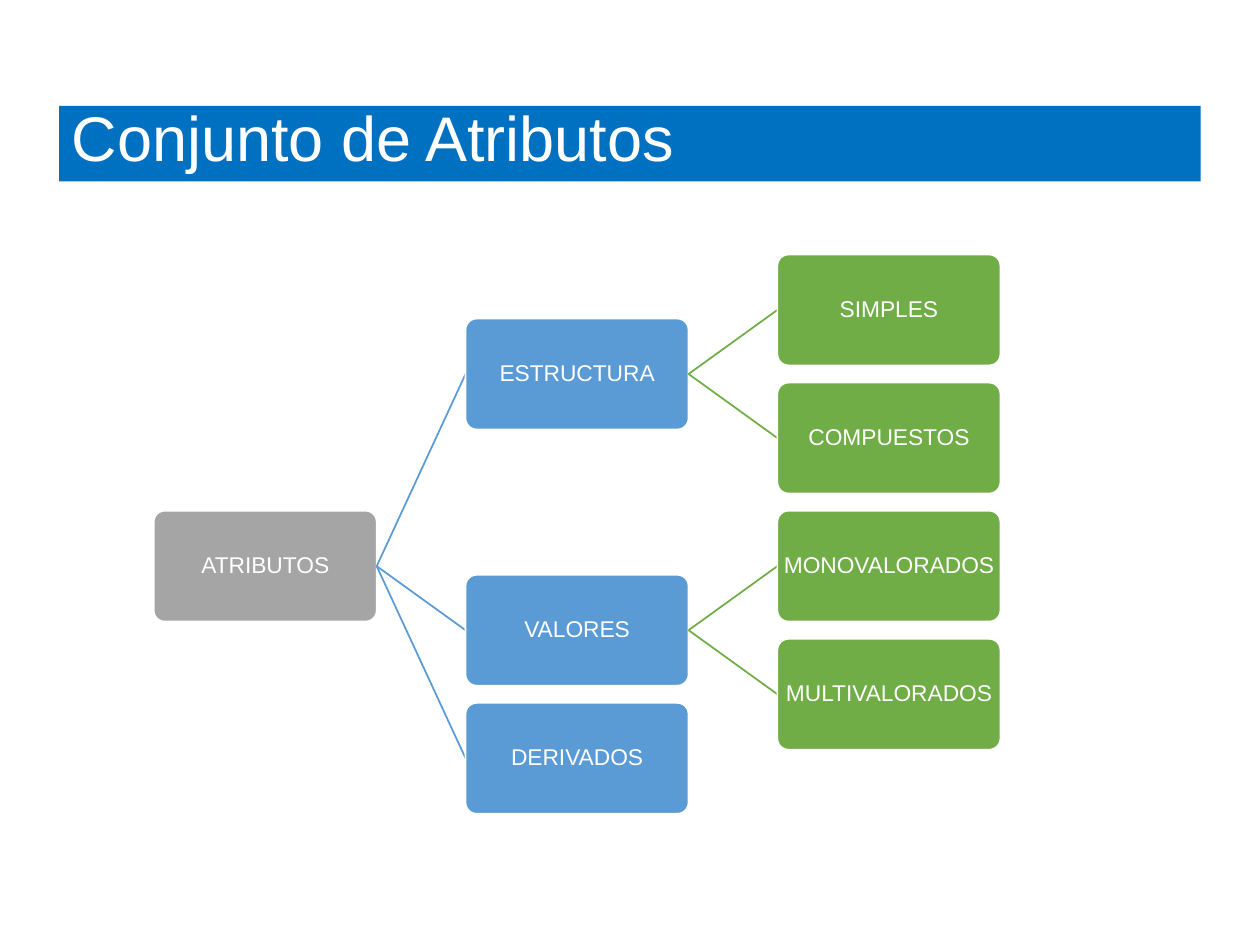
from dataclasses import dataclass

from lxml import etree
from pptx import Presentation
from pptx.dml.color import RGBColor
from pptx.enum import shapes, text
from pptx.oxml.ns import qn
from pptx.util import Inches, Pt

TITLE = "Conjunto de Atributos"
TREE = ("ATRIBUTOS", [
    ("ESTRUCTURA", [("SIMPLES", 0), ("COMPUESTOS", 1)]),
    ("VALORES", [("MONOVALORADOS", 2), ("MULTIVALORADOS", 3)]),
    ("DERIVADOS", 3.5),
])


@dataclass(frozen=True)
class Theme:
    font: str = "Arial"
    title_size: int = 36
    node_size: int = 13
    white: str = "FFFFFF"
    banner: str = "0070C0"
    levels: tuple = ("A5A5A5", "5B9BD5", "70AD47")


THEME = Theme()
LEFT, TOP = 1.22, 2.02
WIDTH, HEIGHT = 1.77, 0.88
COLUMN_STEP = 4.95 / 2
ROW_STEP = 3.05 / 3


def color(value):
    return RGBColor.from_string(value)


def add_box(page, kind, bounds, fill, words, size):
    box = page.shapes.add_shape(kind, *map(Inches, bounds))
    box.shadow.inherit = False
    box.fill.solid()
    box.fill.fore_color.rgb = color(fill)
    box.line.fill.background()
    para = box.text_frame.paragraphs[0]
    para.line_spacing = 0.9
    span = para.add_run()
    span.text = words
    span.font.name = THEME.font
    span.font.size = Pt(size)
    span.font.color.rgb = color(THEME.white)
    return box


def add_title(page):
    box = add_box(page, shapes.MSO_SHAPE.RECTANGLE, (0.47, 0.84, 9.06, 0.6),
                  THEME.banner, TITLE, THEME.title_size)
    box.text_frame.vertical_anchor = text.MSO_ANCHOR.BOTTOM
    box.text_frame.paragraphs[0].alignment = text.PP_ALIGN.LEFT


def add_node(page, words, level, row):
    bounds = (LEFT + level * COLUMN_STEP, TOP + row * ROW_STEP, WIDTH, HEIGHT)
    box = add_box(page, shapes.MSO_SHAPE.ROUNDED_RECTANGLE, bounds,
                  THEME.levels[level], words, THEME.node_size)
    box.adjustments[0] = 0.1
    box.line.color.rgb = color(THEME.white)
    box.line.width = Pt(1)
    frame = box.text_frame
    frame.word_wrap = True
    frame.vertical_anchor = text.MSO_ANCHOR.MIDDLE
    frame.margin_left = frame.margin_right = 0
    frame.margin_top = frame.margin_bottom = 0
    frame.paragraphs[0].alignment = text.PP_ALIGN.CENTER
    return box


def add_branch(page, parent, level):
    branch = page.shapes.add_connector(shapes.MSO_CONNECTOR.STRAIGHT, 0, 0, 0, 0)
    branch.line.color.rgb = color(THEME.levels[level])
    branch.line.width = Pt(1)
    etree.SubElement(branch.element.spPr, qn("a:effectLst"))
    branch.begin_connect(parent, 3)
    return branch


def row_of(place):
    if isinstance(place, list):
        return (row_of(place[0][1]) + row_of(place[-1][1])) / 2
    return place


def draw_tree(page, node, level=0, parent=None):
    words, place = node
    branch = add_branch(page, parent, level) if parent is not None else None
    box = add_node(page, words, level, row_of(place))
    if branch is not None:
        branch.end_connect(box, 1)
    if isinstance(place, list):
        for child in place:
            draw_tree(page, child, level + 1, box)


def main():
    deck = Presentation()
    deck.slide_width, deck.slide_height = Inches(10), Inches(7.5)
    page = deck.slides.add_slide(deck.slide_layouts[6])
    add_title(page)
    draw_tree(page, TREE)
    deck.save("out.pptx")


if __name__ == "__main__":
    main()
